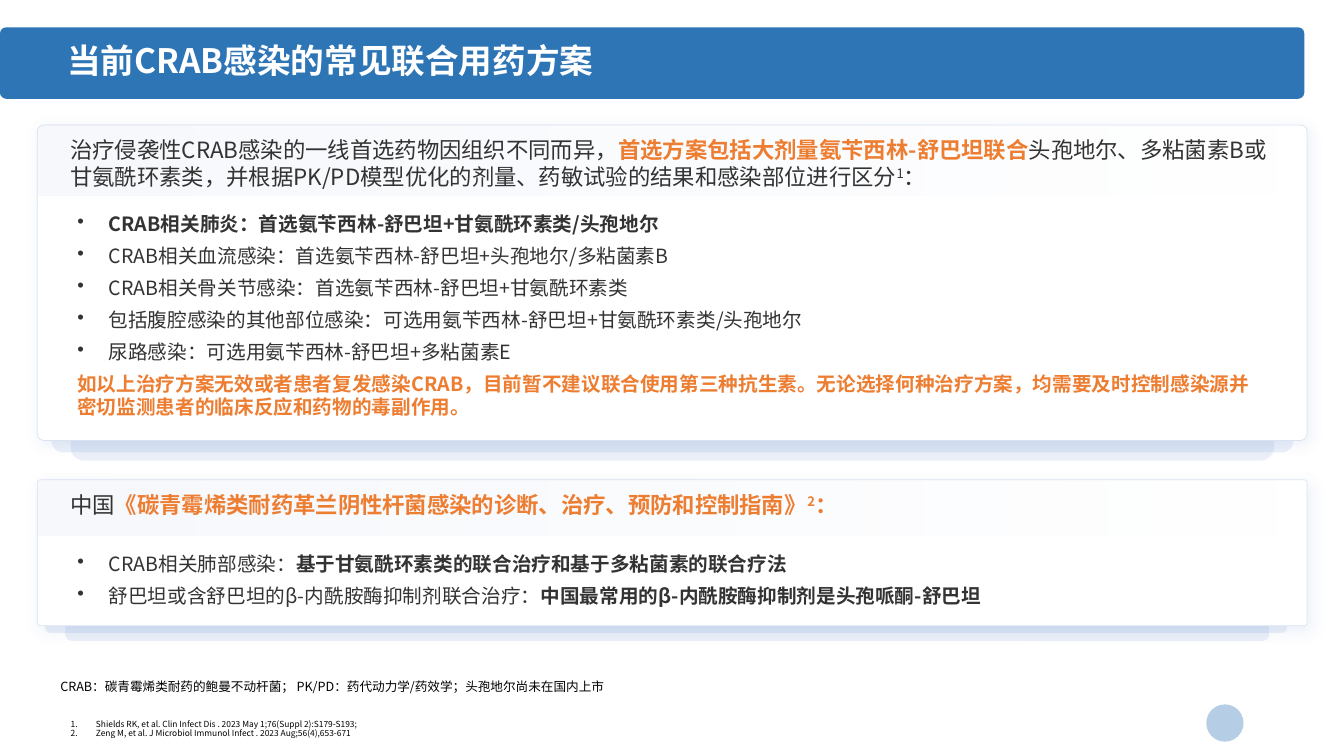
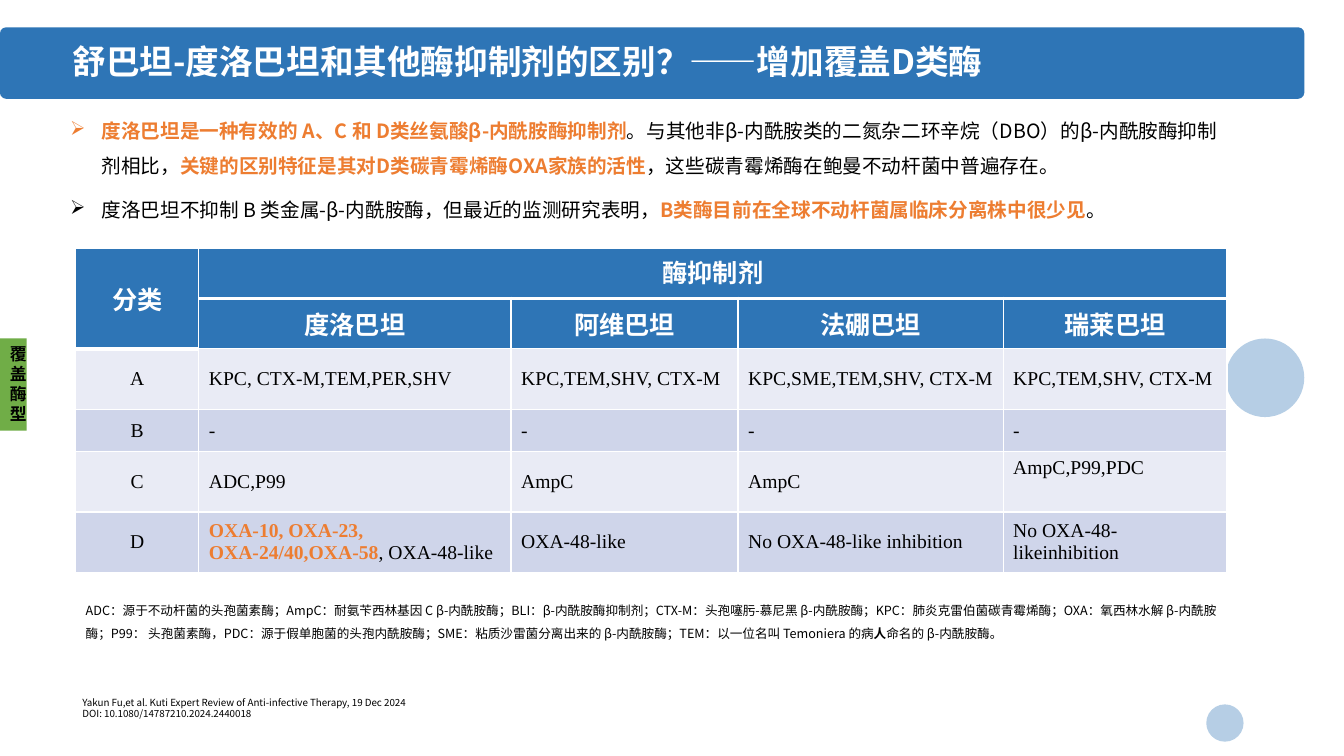
from collections import namedtuple

import lxml.etree
import pptx
import pptx.dml.color
import pptx.enum.shapes
import pptx.enum.text
import pptx.oxml.ns
import pptx.util

Cm = pptx.util.Cm
Pt = pptx.util.Pt
SHAPES = pptx.enum.shapes.MSO_SHAPE
ANCHOR = pptx.enum.text.MSO_ANCHOR
ALIGN = pptx.enum.text.PP_ALIGN
Box = namedtuple("Box", "left top width height")

SANS = "Noto Sans CJK SC"
SERIF = "Times New Roman"
BLUE, LAYER_BLUE, PALE_BLUE = "2E75B6", "4472C4", "DAE3F3"
ORANGE, GREEN = "ED7D31", "70AD47"
BLACK, GREY, WHITE = "000000", "333333", "FFFFFF"
ROW_FILLS = ("E9EBF5", "CFD5EA")


def rgb(value):
    """Turn a hex string into a colour."""
    return pptx.dml.color.RGBColor.from_string(value)


def add_element(parent, tag, **attributes):
    """Append a DrawingML child element and return it."""
    return lxml.etree.SubElement(parent, pptx.oxml.ns.qn(f"a:{tag}"), attributes)


def set_alpha(color_element, percent):
    """Make a colour element partly transparent."""
    add_element(color_element, "alpha", val=str(percent * 1000))


def lengths(box):
    """Convert a box in centimetres to slide lengths."""
    return [Cm(value) for value in box]


def write_runs(paragraph, runs, size, color, font=SANS):
    """Write runs; styles may hold the words strong, key and raised."""
    if isinstance(runs, str):
        runs = [(runs, "")]
    for text, style in runs:
        run = paragraph.add_run()
        run.text = text
        run.font.size = Pt(size)
        run.font.name = font
        run.font.bold = "strong" in style or "key" in style
        run.font.color.rgb = rgb(ORANGE if "key" in style else color)
        properties = run.font._element
        add_element(properties, "ea", typeface=font)
        if "raised" in style:
            properties.set("baseline", "30000")


def set_bullet(paragraph, bullet, indent):
    """Give a paragraph a hanging bullet, or a number for the bullet 1."""
    properties = paragraph._p.get_or_add_pPr()
    properties.set("marL", str(Cm(indent)))
    properties.set("indent", str(-Cm(indent)))
    if bullet == "1":
        add_element(properties, "buAutoNum", type="arabicPeriod")
    else:
        add_element(properties, "buChar", char=bullet)


def add_text(slide, box, paragraphs, size, color=BLACK, inset=True, bullet=None,
             indent=0.79, spacing=None, after=0, plain_end=False):
    """Add a wrapping text box; plain_end leaves the last paragraph unbulleted."""
    frame = slide.shapes.add_textbox(*lengths(box)).text_frame
    frame.word_wrap = True
    if not inset:
        frame.margin_left = frame.margin_right = 0
        frame.margin_top = frame.margin_bottom = 0
    for index, runs in enumerate(paragraphs):
        paragraph = frame.add_paragraph() if index else frame.paragraphs[0]
        if bullet and not (plain_end and index == len(paragraphs) - 1):
            set_bullet(paragraph, bullet, indent)
        if spacing:
            paragraph.line_spacing = spacing
        paragraph.space_after = Pt(after)
        write_runs(paragraph, runs, size, color)


def add_shape(slide, kind, box, fill, alpha=None, corner=None):
    """Add a flat shape without outline."""
    shape = slide.shapes.add_shape(kind, *lengths(box))
    shape.shadow.inherit = False
    shape.fill.solid()
    shape.fill.fore_color.rgb = rgb(fill)
    shape.line.fill.background()
    if alpha is not None:
        set_alpha(shape.fill._xPr.find(".//" + pptx.oxml.ns.qn("a:srgbClr")), alpha)
    if corner is not None:
        shape.adjustments[0] = corner
    return shape


def add_base_slide(presentation, title, title_box, dots):
    """Add a slide with the title band and the pale dots."""
    slide = presentation.slides.add_slide(presentation.slide_layouts[6])
    add_shape(slide, SHAPES.ROUNDED_RECTANGLE, Box(0, 0.69, 32.87, 1.8), BLUE, corner=0.085)
    for left, top, diameter in dots:
        add_shape(slide, SHAPES.OVAL, Box(left, top, diameter, diameter), BLUE, alpha=35)
    add_text(slide, title_box, [[(title, "strong")]], 24, WHITE, inset=False, spacing=0.9)
    return slide


def add_card_header(slide, box):
    """Add the fading strip at the top of a card."""
    header = add_shape(slide, SHAPES.ROUND_1_RECTANGLE, box, PALE_BLUE, corner=0.107)
    header.fill.gradient()
    header.fill.gradient_angle = 0
    for stop, alpha in zip(header.fill.gradient_stops, (0, 24)):
        stop.color.rgb = rgb(PALE_BLUE)
        set_alpha(stop._gs.find(pptx.oxml.ns.qn("a:srgbClr")), alpha)
    header._element.spPr.find(pptx.oxml.ns.qn("a:xfrm")).set("flipH", "1")


def add_card(slide, box, header_height, layer_height, layers, heading, points, plain_end=False):
    """Add a stacked card with a heading and a bulleted list."""
    bottom = box.top + box.height
    for (inset, drop), width, corner in zip(layers, (30.33, 31.29), (0.049, 0.04)):
        layer = Box(box.left + inset, bottom + drop - layer_height, width, layer_height)
        add_shape(slide, SHAPES.ROUNDED_RECTANGLE, layer, LAYER_BLUE, 10, corner)
    card = add_shape(slide, SHAPES.ROUNDED_RECTANGLE, box, WHITE, corner=0.021)
    card.line.color.rgb = rgb(PALE_BLUE)
    card.line.width = Pt(0.5)
    effects = card._element.spPr.find(pptx.oxml.ns.qn("a:effectLst"))
    shadow = add_element(effects, "outerShdw", blurRad=str(Pt(10)), dist=str(Pt(3)),
                         dir="2700000", algn="tl", rotWithShape="0")
    set_alpha(add_element(shadow, "srgbClr", val=LAYER_BLUE), 10)
    add_card_header(slide, box._replace(height=header_height))
    add_text(slide, Box(box.left + 0.76, box.top + header_height + 0.29, 30.25,
                        box.height - header_height - 0.6),
             points, 14, GREY, bullet="•", after=6, plain_end=plain_end)
    add_text(slide, Box(box.left + 0.58, box.top + 0.16, 30.71, header_height - 0.2),
             [heading], 16, GREY, after=6)


def set_borders(cell, row, column):
    """Draw white cell borders, thick under the header cells."""
    properties = cell._tc.get_or_add_tcPr()
    for position, side in enumerate(("lnL", "lnR", "lnT", "lnB")):
        edge = row + (side == "lnB")
        thick = side in ("lnT", "lnB") and (edge == 1 or (edge == 2 and column == 0))
        line = add_element(properties, side, w=str(Pt(3 if thick else 1)))
        add_element(add_element(line, "solidFill"), "srgbClr", val=WHITE)
        properties.remove(line)
        properties.insert(position, line)


def add_enzyme_table(slide, box, widths, heights, rows):
    """Add the inhibitor table with its two header rows."""
    table = slide.shapes.add_table(len(rows), len(widths), *lengths(box)).table
    for column, width in zip(table.columns, widths):
        column.width = Cm(width)
    for index, (height, contents) in enumerate(zip(heights, rows)):
        table.rows[index].height = Cm(height)
        header = index < 2
        for column, content in enumerate(contents):
            cell = table.cell(index, column)
            cell.fill.solid()
            cell.fill.fore_color.rgb = rgb(BLUE if header else ROW_FILLS[index % 2])
            cell.vertical_anchor = ANCHOR.MIDDLE
            set_borders(cell, index, column)
            paragraph = cell.text_frame.paragraphs[0]
            paragraph.alignment = ALIGN.CENTER if header or column == 0 else ALIGN.LEFT
            if header and content:
                write_runs(paragraph, [(content, "strong")], 18, WHITE)
            elif content:
                write_runs(paragraph, content, 14, BLACK, SERIF)
    table.cell(0, 0).merge(table.cell(1, 0))
    table.cell(0, 1).merge(table.cell(0, len(widths) - 1))
    table.cell(0, 1).vertical_anchor = ANCHOR.TOP
    table.cell(4, 4).vertical_anchor = ANCHOR.TOP


def add_side_tab(slide, box, text):
    """Add the narrow green label at the slide edge."""
    tab = add_shape(slide, SHAPES.RECTANGLE, box, GREEN)
    frame = tab.text_frame
    frame.word_wrap = True
    frame.vertical_anchor = ANCHOR.TOP
    frame.paragraphs[0].alignment = ALIGN.CENTER
    write_runs(frame.paragraphs[0], [(text, "strong")], 12, BLACK)


def build_regimen_slide(presentation, small_dot):
    """Build the slide on combination regimens."""
    slide = add_base_slide(presentation, "当前CRAB感染的常见联合用药方案",
                           Box(1.7, 1.12, 27, 0.91), [small_dot])
    add_text(slide, Box(1.78, 18.16, 23.47, 0.46), [
        "Shields RK, et al. Clin Infect Dis . 2023 May 1;76(Suppl 2):S179-S193;",
        "Zeng M, et al. J Microbiol Immunol Infect . 2023 Aug;56(4),653-671",
    ], 6, inset=False, bullet="1", indent=0.64, spacing=0.9)
    add_text(slide, Box(1.52, 17.12, 13.74, 0.76), [
        "CRAB：碳青霉烯类耐药的鲍曼不动杆菌； PK/PD：药代动力学/药效学；头孢地尔尚未在国内上市",
    ], 9, inset=False)
    add_card(slide, Box(0.94, 3.15, 32, 7.95), 1.78, 7.05, ((0.84, 0.51), (0.36, 0.3)), [
        ("治疗侵袭性CRAB感染的一线首选药物因组织不同而异，", ""),
        ("首选方案包括大剂量氨苄西林-舒巴坦联合", "key"),
        ("头孢地尔、多粘菌素B或甘氨酰环素类，并根据PK/PD模型优化的剂量、"
         "药敏试验的结果和感染部位进行区分", ""),
        ("1", "raised"),
        ("：", ""),
    ], [
        [("CRAB相关肺炎：首选氨苄西林-舒巴坦+甘氨酰环素类/头孢地尔", "strong")],
        "CRAB相关血流感染：首选氨苄西林-舒巴坦+头孢地尔/多粘菌素B",
        "CRAB相关骨关节感染：首选氨苄西林-舒巴坦+甘氨酰环素类",
        "包括腹腔感染的其他部位感染：可选用氨苄西林-舒巴坦+甘氨酰环素类/头孢地尔",
        "尿路感染：可选用氨苄西林-舒巴坦+多粘菌素E",
        [("如以上治疗方案无效或者患者复发感染CRAB，目前暂不建议联合使用第三种抗生素。"
          "无论选择何种治疗方案，均需要及时控制感染源并密切监测患者的临床反应和药物的毒副作用。",
          "key")],
    ], plain_end=True)
    add_card(slide, Box(0.94, 12.09, 32, 3.68), 1.4, 3.08, ((0.71, 0.38), (0.2, 0.18)), [
        ("中国", ""),
        ("《碳青霉烯类耐药革兰阴性杆菌感染的诊断、治疗、预防和控制指南》", "key"),
        ("2", "key raised"),
        ("：", "key"),
    ], [
        [("CRAB相关肺部感染：", ""),
         ("基于甘氨酰环素类的联合治疗和基于多粘菌素的联合疗法", "strong")],
        [("舒巴坦或含舒巴坦的β-内酰胺酶抑制剂联合治疗：", ""),
         ("中国最常用的β-内酰胺酶抑制剂是头孢哌酮-舒巴坦", "strong")],
    ])


def build_inhibitor_slide(presentation, small_dot):
    """Build the slide comparing enzyme inhibitors."""
    slide = add_base_slide(presentation, "舒巴坦-度洛巴坦和其他酶抑制剂的区别？——增加覆盖D类酶",
                           Box(1.83, 1.14, 31.7, 0.91), [(30.89, 8.53, 1.98), small_dot])
    add_enzyme_table(slide, Box(1.91, 6.25, 29.01, 8.17),
                     (3.1, 7.87, 5.72, 6.68, 5.64), (1.27, 1.27, 1.52, 1.07, 1.52, 1.52), [
        ["分类", "酶抑制剂", "", "", ""],
        ["", "度洛巴坦", "阿维巴坦", "法硼巴坦", "瑞莱巴坦"],
        ["A", "KPC, CTX-M,TEM,PER,SHV", "KPC,TEM,SHV, CTX-M",
         "KPC,SME,TEM,SHV, CTX-M", "KPC,TEM,SHV, CTX-M"],
        ["B", "-", "-", "-", "-"],
        ["C", "ADC,P99", "AmpC", "AmpC", "AmpC,P99,PDC"],
        ["D", [("OXA-10, OXA-23, OXA-24/40,OXA-58", "key"), (", OXA-48-like", "")],
         "OXA-48-like", "No OXA-48-like inhibition", "No OXA-48-likeinhibition"],
    ])
    add_text(slide, Box(1.91, 14.88, 29.01, 1.35), [[
        ("ADC：源于不动杆菌的头孢菌素酶；AmpC：耐氨苄西林基因 C β-内酰胺酶；"
         "BLI：β-内酰胺酶抑制剂；CTX-M：头孢噻肟-慕尼黑 β-内酰胺酶；"
         "KPC：肺炎克雷伯菌碳青霉烯酶；OXA：氧西林水解 β-内酰胺酶；"
         "P99： 头孢菌素酶，PDC：源于假单胞菌的头孢内酰胺酶；"
         "SME：粘质沙雷菌分离出来的 β-内酰胺酶；TEM：以一位名叫 Temoniera 的病", ""),
        ("人", "strong"),
        ("命名的 β-内酰胺酶。", ""),
    ]], 9, spacing=1.5)
    add_text(slide, Box(1.52, 2.57, 29.41, 3.05), [
        [("度洛巴坦是一种有效的 A、C 和 D类丝氨酸β-内酰胺酶抑制剂", "key"),
         ("。与其他非β-内酰胺类的二氮杂二环辛烷（DBO）的β-内酰胺酶抑制剂相比，", ""),
         ("关键的区别特征是其对D类碳青霉烯酶OXA家族的活性", "key"),
         ("，这些碳青霉烯酶在鲍曼不动杆菌中普遍存在。", "")],
        [("度洛巴坦不抑制 B 类金属-β-内酰胺酶，但最近的监测研究表明，", ""),
         ("B类酶目前在全球不动杆菌属临床分离株中很少见", "key"),
         ("。", "")],
    ], 14, bullet="➢", spacing=1.5, after=6)
    add_text(slide, Box(1.83, 17.42, 29.01, 0.86), [
        "Yakun Fu,et al. Kuti Expert Review of Anti-infective Therapy, 19 Dec 2024",
        "DOI: 10.1080/14787210.2024.2440018",
    ], 7)
    add_side_tab(slide, Box(0, 8.53, 0.67, 2.32), "覆盖酶型")


def main():
    """Build and save the presentation."""
    presentation = pptx.Presentation()
    presentation.slide_width = Cm(33.87)
    presentation.slide_height = Cm(19.05)
    small_dot = (30.4, 17.75, 0.94)
    build_regimen_slide(presentation, small_dot)
    build_inhibitor_slide(presentation, small_dot)
    presentation.save("out.pptx")


if __name__ == "__main__":
    main()
